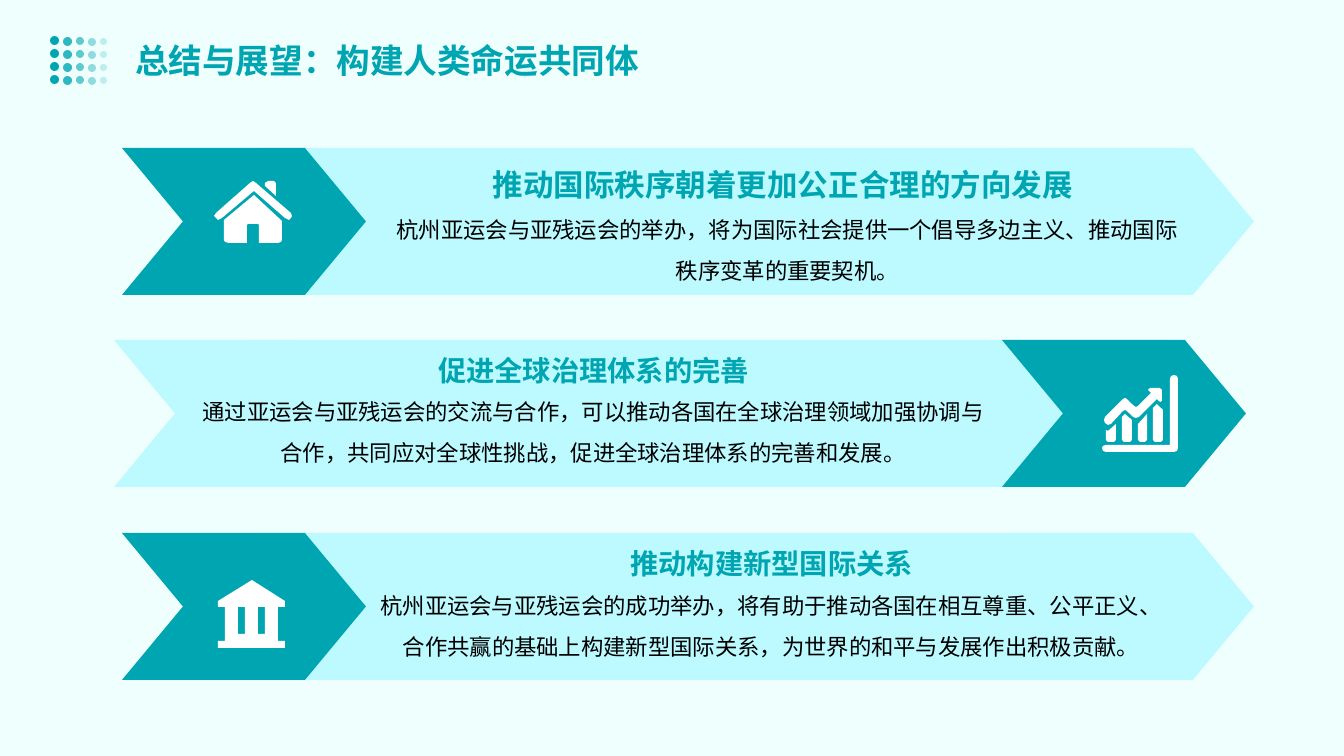
from lxml import etree
from pptx import Presentation
from pptx.dml.color import RGBColor
from pptx.enum.shapes import MSO_SHAPE
from pptx.enum.text import MSO_ANCHOR, MSO_AUTO_SIZE, PP_ALIGN
from pptx.oxml.ns import qn
from pptx.util import Pt

RECTANGLE, CHEVRON, OVAL = MSO_SHAPE.RECTANGLE, MSO_SHAPE.CHEVRON, MSO_SHAPE.OVAL
TOP, MIDDLE = MSO_ANCHOR.TOP, MSO_ANCHOR.MIDDLE
LEFT, CENTER = PP_ALIGN.LEFT, PP_ALIGN.CENTER
GROW, FIXED = MSO_AUTO_SIZE.SHAPE_TO_FIT_TEXT, MSO_AUTO_SIZE.NONE

PAGE_WIDTH, PAGE_HEIGHT = 1344, 756
SCALE = 12192000 / PAGE_WIDTH
THEME = {
    "font": "Noto Sans CJK SC",
    "page": RGBColor(0xEF, 0xFF, 0xFD),
    "accent": RGBColor(0x00, 0xA5, 0xB2),
    "pale": RGBColor(0xBD, 0xFA, 0xFF),
    "icon": RGBColor(0xFF, 0xFF, 0xFF),
    "text": RGBColor(0x00, 0x00, 0x00),
    "title_size": 24,
    "body_size": 16,
}


def paint(shape, color, alpha=100):
    shape.shadow.inherit = False
    shape.fill.solid()
    shape.fill.fore_color.rgb = THEME[color]
    shape.line.fill.background()
    if alpha < 100:
        fill_color = shape.fill._xPr.find(qn("a:solidFill"))[0]
        etree.SubElement(fill_color, qn("a:alpha"), val=str(alpha * 1000))


def write(box, place, text, size, color, bold, spacing,
          align=CENTER, anchor=MIDDLE, auto_size=FIXED, insets=(7, 4, 7, 4)):
    for side, length in zip(("left", "top", "width", "height"), place):
        setattr(box, side, round(length * SCALE))
    frame = box.text_frame
    frame_format = {"word_wrap": True, "auto_size": auto_size, "vertical_anchor": anchor}
    for name, value in frame_format.items():
        setattr(frame, name, value)
    for side, length in zip(("left", "top", "right", "bottom"), insets):
        setattr(frame, f"margin_{side}", round(length * SCALE))
    para = frame.paragraphs[0]
    para.alignment = align
    para.line_spacing = spacing
    span = para.add_run()
    span.text = text
    for name, value in {"name": THEME["font"], "size": Pt(size), "bold": bold}.items():
        setattr(span.font, name, value)
    span.font.color.rgb = THEME[color]
    etree.SubElement(span.font._element, qn("a:ea"), typeface=THEME["font"])


deck = Presentation()
deck.slide_width = round(PAGE_WIDTH * SCALE)
deck.slide_height = round(PAGE_HEIGHT * SCALE)
page = deck.slides.add_slide(deck.slide_layouts[5])
page.background.fill.solid()
page.background.fill.fore_color.rgb = THEME["page"]
shapes = page.shapes

write(shapes.title, (121, 10, 1103, 85), "总结与展望：构建人类命运共同体",
      THEME["title_size"], "accent", True, 1.4, LEFT, TOP, GROW, (14, 14, 6, 14))

DOT_COLUMNS = [(50, 36, 9, 100), (63, 37, 9, 80), (76, 37, 8, 60),
               (88, 38, 8, 40), (100, 38, 7, 20)]
DOT_ROWS, DOT_PITCH = 4, 13
for row in range(DOT_ROWS):
    for left, top, size, alpha in DOT_COLUMNS:
        place = (left, top + row * DOT_PITCH, size, size)
        dot = shapes.add_shape(OVAL, *[round(length * SCALE) for length in place])
        paint(dot, "accent", alpha)

BAND_HEIGHT, BAND_WIDTH, BAND_INSET = 147, 915, 140
ARROW_WIDTH, ARROW_POINT, ARROW_GAP = 244, 61, 888
BODY_WIDTH, BODY_HEIGHT, HEADING_HEIGHT = 813, 95, 54
BANDS = [
    {"left": 122, "top": 148, "arrows": ("accent", "pale"),
     "heading": "推动国际秩序朝着更加公正合理的方向发展", "heading_size": 21.8,
     "heading_at": (381, 154, 804), "body_top": 196,
     "body": "杭州亚运会与亚残运会的举办，将为国际社会提供一个倡导多边主义、"
             "推动国际秩序变革的重要契机。"},
    {"left": 114, "top": 340, "arrows": ("pale", "accent"),
     "heading": "促进全球治理体系的完善", "heading_size": 20.2,
     "heading_at": (187, 340, 813), "body_top": 378,
     "body": "通过亚运会与亚残运会的交流与合作，可以推动各国在全球治理领域加强"
             "协调与合作，共同应对全球性挑战，促进全球治理体系的完善和发展。"},
    {"left": 122, "top": 533, "arrows": ("accent", "pale"),
     "heading": "推动构建新型国际关系", "heading_size": 20.2,
     "heading_at": (365, 533, 813), "body_top": 572,
     "body": "杭州亚运会与亚残运会的成功举办，将有助于推动各国在相互尊重、公平正义、"
             "合作共赢的基础上构建新型国际关系，为世界的和平与发展作出积极贡献。"},
]
for band in BANDS:
    left, top = band["left"], band["top"]
    parts = [(RECTANGLE, left + BAND_INSET, BAND_WIDTH, "pale")]
    for index, color in enumerate(band["arrows"]):
        parts.append((CHEVRON, left + index * ARROW_GAP, ARROW_WIDTH, color))
    for kind, part_left, width, color in parts:
        place = (part_left, top, width, BAND_HEIGHT)
        part = shapes.add_shape(kind, *[round(length * SCALE) for length in place])
        paint(part, color)
        if kind == CHEVRON:
            part.adjustments[0] = ARROW_POINT / BAND_HEIGHT
    text_left, heading_top, heading_width = band["heading_at"]
    write(shapes.add_textbox(0, 0, 0, 0),
          (text_left, band["body_top"], BODY_WIDTH, BODY_HEIGHT),
          band["body"], THEME["body_size"], "text", False, 1.5)
    write(shapes.add_textbox(0, 0, 0, 0),
          (text_left, heading_top, heading_width, HEADING_HEIGHT),
          band["heading"], band["heading_size"], "accent", True, 1.2)

house = [
    [(276, 183), (274, 181), (268, 181), (265, 183), (265, 186), (276, 196)],
    [(291, 213), (256, 183), (253, 181), (250, 183), (216, 213), (214, 216), (216, 218),
     (218, 220), (222, 218), (254, 191), (285, 218), (289, 220), (291, 218), (292, 216)],
    [(224, 220), (224, 240), (225, 242), (229, 243), (247, 243), (247, 225), (248, 224),
     (258, 224), (259, 225), (259, 243), (278, 243), (281, 242), (282, 240), (282, 221),
     (254, 195)],
]
bank = [[(218, 601), (252, 580), (285, 601), (285, 607), (218, 607)]]
for left, top, right, bottom in [(218, 641, 285, 648), (225, 634, 278, 641),
                                 (225, 607, 238, 634), (245, 607, 258, 634),
                                 (265, 607, 278, 634)]:
    bank.append([(left, top), (right, top), (right, bottom), (left, bottom)])

trend_arrow = [
    (1123, 411), (1125, 410), (1127, 411), (1133, 417), (1136, 418), (1139, 417),
    (1157, 399), (1160, 402), (1162, 401), (1162, 390), (1160, 388), (1150, 388),
    (1148, 390), (1151, 393), (1138, 406), (1136, 407), (1134, 406), (1127, 399),
    (1125, 398), (1123, 399), (1105, 417), (1104, 420), (1105, 423), (1108, 425),
    (1111, 424)]
axes = [
    (1174, 375), (1171, 376), (1170, 379), (1170, 445), (1106, 445), (1103, 446),
    (1102, 448), (1103, 451), (1106, 452), (1174, 452), (1177, 451), (1178, 448),
    (1178, 379), (1177, 376)]
BAR_BOTTOM = 442
BAR_TOPS = [
    [(1106, 430), (1108, 431), (1116, 424)],
    [(1122, 417), (1125, 414), (1132, 420)],
    [(1138, 424), (1147, 414)],
    [(1153, 408), (1157, 404), (1163, 410)],
]
icons = [house, bank, [trend_arrow], [axes]]
for bar_top in BAR_TOPS:
    left, right = bar_top[0][0], bar_top[-1][0]
    foot = [(right, BAR_BOTTOM - 2), (right - 2, BAR_BOTTOM),
            (left + 2, BAR_BOTTOM), (left, BAR_BOTTOM - 2)]
    icons.append([bar_top + foot])

for outlines in icons:
    builder = shapes.build_freeform(*outlines[0][0], scale=SCALE)
    for index, outline in enumerate(outlines):
        if index:
            builder.move_to(*outline[0])
        builder.add_line_segments(outline[1:], close=True)
    paint(builder.convert_to_shape(), "icon")

deck.save("out.pptx")
